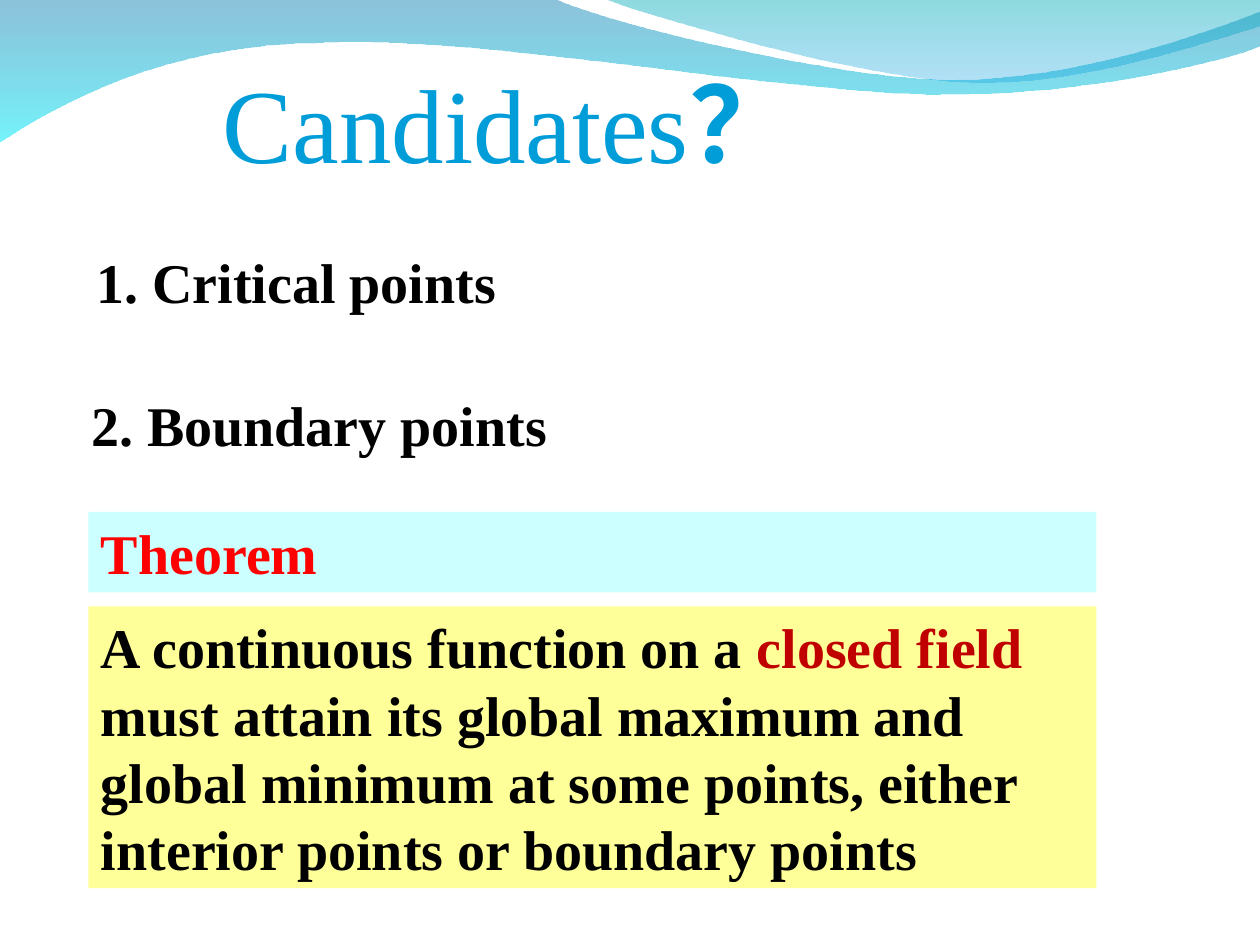
import pptx
import pptx.util
import pptx.dml.color
import pptx.enum.text
import pptx.enum.shapes
import pptx.oxml
import pptx.oxml.ns

Pt = pptx.util.Pt
RGB = pptx.dml.color.RGBColor.from_string
TEXT = pptx.enum.text
qn = pptx.oxml.ns.qn
DECL = pptx.oxml.ns.nsdecls("a")
HUES = {"title": "009DD9", "black": "000000", "red": "FF0000", "dark": "C00000",
        "aqua": "CCFFFF", "yellow": "FFFF99", "deep": "0079AF", "cyan": "00EBF8",
        "teal": "00ADB6", "sky": "009BE5"}
FRAME = {"word_wrap": True, "auto_size": TEXT.MSO_AUTO_SIZE.NONE,
         "vertical_anchor": TEXT.MSO_ANCHOR.TOP,
         "margin_left": Pt(7.2), "margin_right": Pt(7.2),
         "margin_top": Pt(3.6), "margin_bottom": Pt(3.6)}
HEAD = {"name": "Times New Roman", "size": Pt(60), "bold": False}
BODY = {"name": "Times New Roman", "size": Pt(32), "bold": True}


def style(item, form):
    for key, value in form.items():
        setattr(item, key, value)


def write(shape, runs, form):
    style(shape.text_frame, FRAME)
    para = shape.text_frame.paragraphs[0]
    para.alignment = TEXT.PP_ALIGN.LEFT
    for text, hue in runs:
        run = para.add_run()
        run.text = text
        style(run.font, form)
        run.font.color.rgb = RGB(HUES[hue])
    return para


deck = pptx.Presentation()
deck.slide_width, deck.slide_height = Pt(720), Pt(540)
slide = deck.slides.add_slide(deck.slide_layouts[5])
shapes = slide.shapes

waves = [
    ((0, -0.7),
     [[(316.8, -0.7)],
      [(342.7, 12.2), (478.1, 45.4), (545.8, 45.4)],
      [(614.2, 45.4), (689.8, 18.7), (720, 6.5)],
      [(720.7, 25.9)],
      [(709.9, 31.7), (626.4, 54.7), (537.1, 54)],
      [(447.8, 54), (275, 20.2), (185, 24.5)],
      [(92.9, 25.2), (33.1, 59.8), (-0.7, 81.4)]],
     [("deep", 45), ("cyan", 55)]),
    ((344.9, -0.7),
     [[(366.5, 7.9), (491, 44.6), (553.7, 46.8)],
      [(616.3, 49.7), (691.9, 23), (720, 15.1)],
      [(720, 0)]],
     [("teal", 45), ("sky", 30)]),
]
for start, parts, stops in waves:
    pen = shapes.build_freeform(Pt(start[0]), Pt(start[1]))
    dots = [(Pt(x), Pt(y)) for part in parts for x, y in part]
    pen.add_line_segments(dots, close=True)
    wave = pen.convert_to_shape()
    lines = iter(wave.element.findall(".//" + qn("a:lnTo")))
    for part in parts:
        group = [next(lines) for dot in part]
        if len(group) == 3:
            curve = pptx.oxml.parse_xml(f"<a:cubicBezTo {DECL}/>")
            group[0].addprevious(curve)
            for line in group:
                curve.append(line[0])
                line.getparent().remove(line)
    wave.shadow.inherit = False
    wave.line.fill.background()
    wave.fill.gradient()
    wave.fill.gradient_angle = 270
    for stop, (hue, alpha) in zip(wave.fill.gradient_stops, stops):
        stop.color.rgb = RGB(HUES[hue])
    tints = wave.element.findall(".//" + qn("a:srgbClr"))
    for tint, (hue, alpha) in zip(tints, stops):
        tint.append(pptx.oxml.parse_xml(f'<a:alpha {DECL} val="{alpha * 1000}"/>'))

title = shapes.title
shapes.element.append(title.element)
style(title, {"left": Pt(120), "top": Pt(30), "width": Pt(468), "height": Pt(79)})
write(title, [("Candidates", "title"), ("？", "title")], HEAD).runs[1].font.bold = True

boxes = [
    (48, 138, 348, 46, None, [("1. Critical points", "black")]),
    (45, 219.5, 348, 46, None, [("2. Boundary points", "black")]),
    (50.6, 292.5, 576, 46, "aqua", [("Theorem", "red")]),
    (50.6, 346.5, 576, 161, "yellow",
     [("A continuous function on a ", "black"), ("closed field ", "dark"),
      ("must attain its global maximum and global minimum at some points, "
       "either interior points or boundary points", "black")]),
]
for left, top, wide, high, hue, runs in boxes:
    area = [Pt(n) for n in (left, top, wide, high)]
    if hue:
        box = shapes.add_shape(pptx.enum.shapes.MSO_SHAPE.RECTANGLE, *area)
        box.shadow.inherit = False
        box.fill.solid()
        box.fill.fore_color.rgb = RGB(HUES[hue])
        box.line.fill.background()
    else:
        box = shapes.add_textbox(*area)
    write(box, runs, BODY).line_spacing = Pt(38.5)

deck.save("out.pptx")
